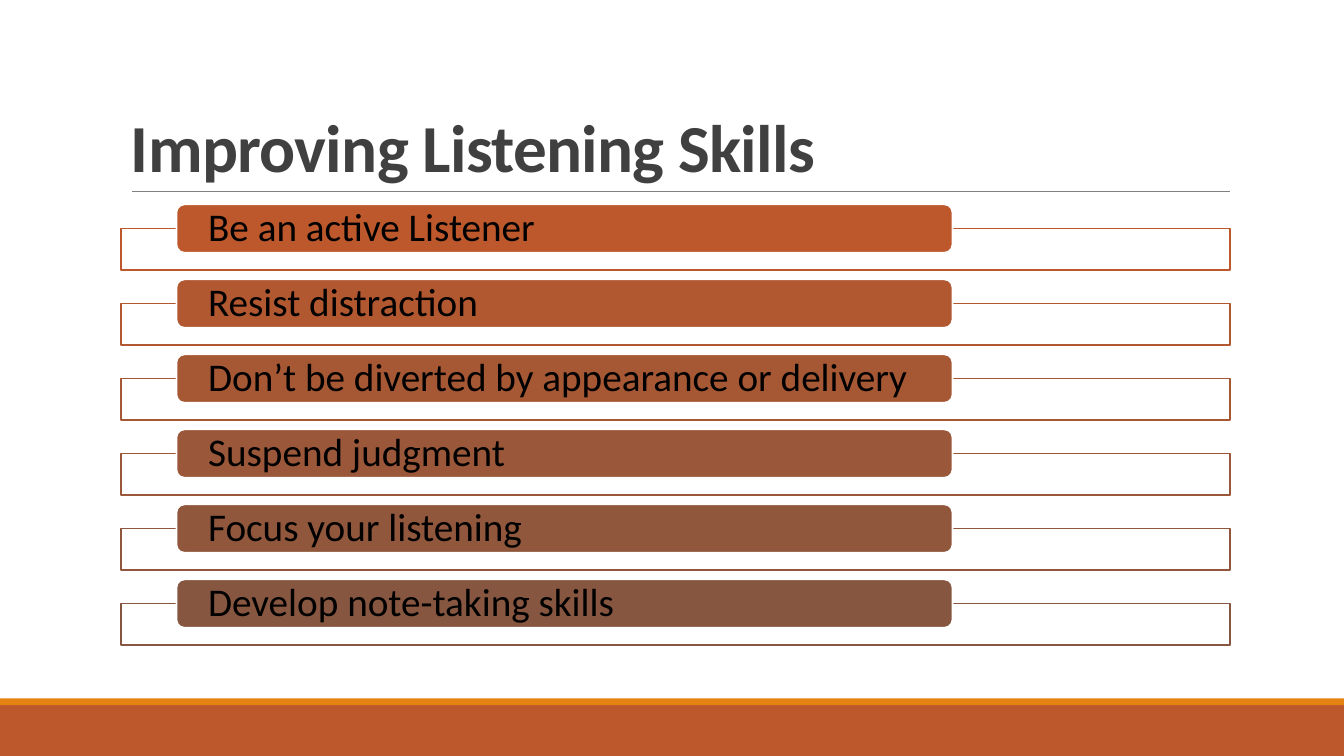
from pptx import Presentation
from pptx.dml.color import RGBColor
from pptx.enum.shapes import MSO_CONNECTOR, MSO_SHAPE as SHAPE
from pptx.enum.text import MSO_ANCHOR as ANCHOR, PP_ALIGN as ALIGN
from pptx.oxml.ns import qn
from pptx.util import Cm, Pt
from lxml.etree import SubElement

COLORS = {
    "white": "FFFFFF", "black": "000000", "title": "404040", "rule": "808080",
    "rust": "BD582C", "orange": "E48312",
    "row1": "BD582C", "row2": "B15831", "row3": "A65835",
    "row4": "9B5739", "row5": "90573D", "row6": "865640",
}
SKILLS = [
    "Be an active Listener",
    "Resist distraction",
    "Don’t be diverted by appearance or delivery",
    "Suspend judgment",
    "Focus your listening",
    "Develop note-taking skills",
]
SLIDE_W, SLIDE_H = 33.87, 19.05


def color(name):
    return RGBColor.from_string(COLORS[name])


def add_block(slide, kind, box, fill, line=None):
    sp = slide.shapes.add_shape(kind, *map(Cm, box))
    sp.shadow.inherit = False
    sp.fill.solid()
    sp.fill.fore_color.rgb = color(fill)
    if line:
        sp.line.color.rgb = color(line)
        sp.line.width = Pt(1.25)
    else:
        sp.line.fill.background()
    return sp


def write_line(tf, text, size, name, spacing, bold=False):
    tf.word_wrap = True
    tf.text = text
    p = tf.paragraphs[0]
    p.alignment = ALIGN.LEFT
    p.line_spacing = spacing
    r = p.runs[0]
    r.font.name = "Calibri"
    r.font.size = Pt(size)
    r.font.bold = bold
    r.font.color.rgb = color(name)
    return r


def add_footer(slide, left, top, width, height):
    stripe = 0.17
    add_block(slide, SHAPE.RECTANGLE, (left, top + stripe, width, height - stripe), "rust")
    add_block(slide, SHAPE.RECTANGLE, (left, top, width, stripe), "orange")


def add_title(slide, left, top, width, height):
    bottom = top + height
    rule = slide.shapes.add_connector(
        MSO_CONNECTOR.STRAIGHT, Cm(left + 0.28), Cm(bottom), Cm(left + width), Cm(bottom))
    rule.line.color.rgb = color("rule")
    rule.line.width = Pt(0.5)
    SubElement(rule._element.spPr, qn("a:effectLst"))
    tf = slide.shapes.add_textbox(Cm(left), Cm(top), Cm(width), Cm(height)).text_frame
    tf.vertical_anchor = ANCHOR.BOTTOM
    r = write_line(tf, "Improving Listening Skills", 48, "title", 0.85, bold=True)
    r._r.get_or_add_rPr().set("spc", "-50")


def add_skills(slide, left, top, width, height):
    frame_h, pill_h = 1.04, 1.22
    pitch = (height - pill_h / 2 - frame_h) / (len(SKILLS) - 1)
    for i, skill in enumerate(SKILLS):
        y = top + i * pitch
        row = f"row{i + 1}"
        add_block(slide, SHAPE.RECTANGLE, (left, y + pill_h / 2, width, frame_h), "white", row)
        pill = add_block(slide, SHAPE.ROUNDED_RECTANGLE,
                         (left + width * 0.05, y, width * 0.7, pill_h), row, "white")
        tf = pill.text_frame
        tf.margin_left = tf.margin_right = Cm(0.74)
        tf.margin_top = tf.margin_bottom = 0
        tf.vertical_anchor = ANCHOR.MIDDLE
        write_line(tf, skill, 28, "black", 0.9)


def main():
    prs = Presentation()
    prs.slide_width, prs.slide_height = Cm(SLIDE_W), Cm(SLIDE_H)
    slide = prs.slides.add_slide(prs.slide_layouts[6])
    slide.background.fill.solid()
    slide.background.fill.fore_color.rgb = color("white")
    add_footer(slide, 0, 17.6, SLIDE_W, SLIDE_H - 17.6)
    add_title(slide, 3.05, 0.79, 27.94, 4.03)
    add_skills(slide, 3.05, 5.15, 27.94, 11.1)
    prs.save("out.pptx")


if __name__ == "__main__":
    main()
